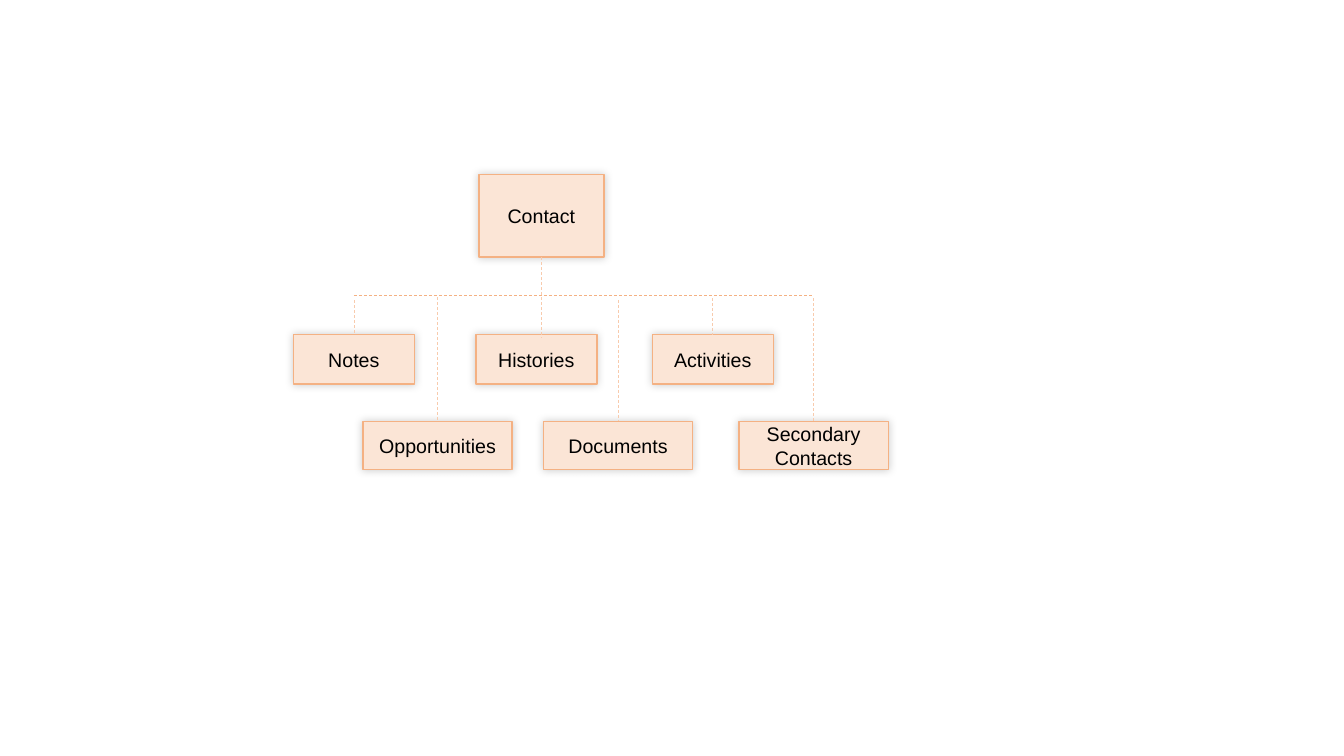
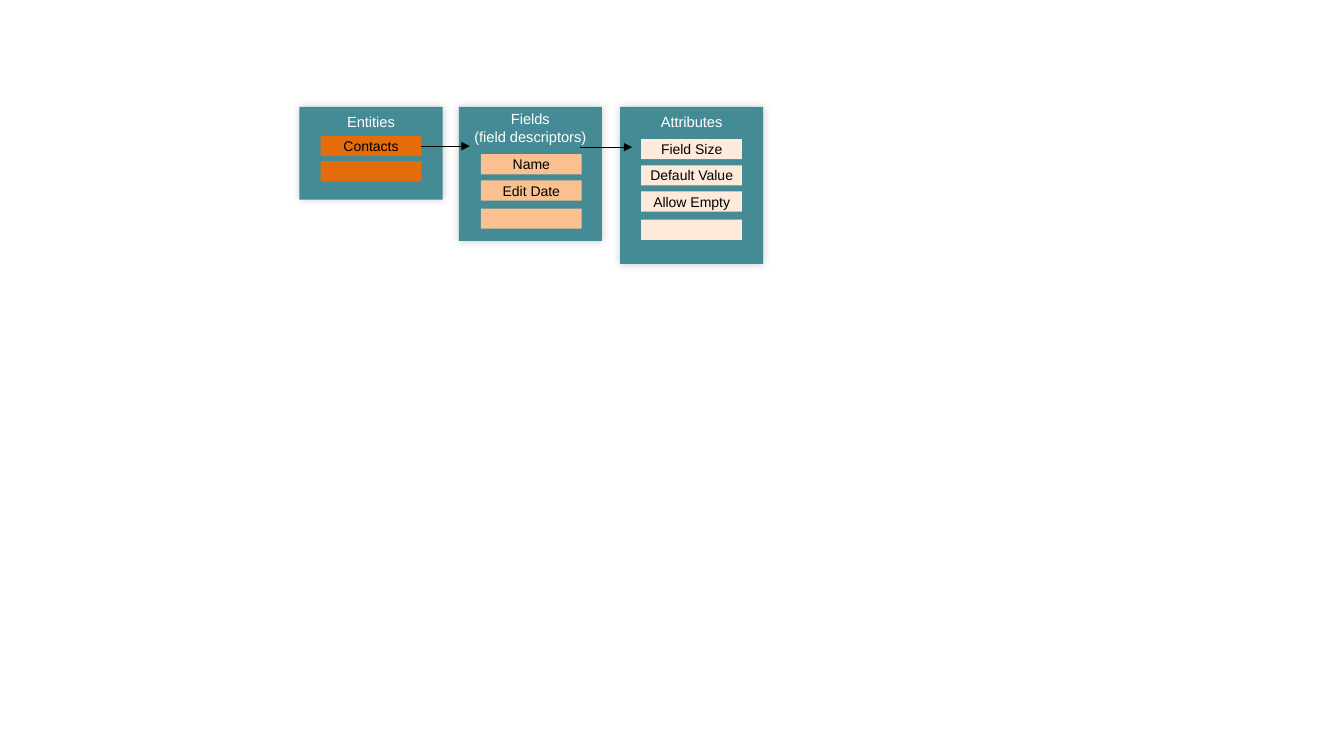
import pptx
import pptx.dml.color
import pptx.enum.dml
import pptx.enum.shapes
import pptx.enum.text
import pptx.oxml
import pptx.oxml.ns
import pptx.util
from lxml import etree

PX = 9144  # EMU per px, 100 px to the inch
FONT = "Arial"
COLORS = {
    "black": "000000",
    "white": "FFFFFF",
    "peach": "FBE5D6",
    "peach_edge": "F4B183",
    "peach_line": "F8CBAD",
    "teal": "458B95",
    "orange": "E46C0A",
    "apricot": "FAC090",
    "cream": "FDEADA",
}
ANCHOR = pptx.enum.text.MSO_ANCHOR
TOP, LEFT, BOTTOM, RIGHT = range(4)  # connection sites of a rectangle


def px(length):
    return pptx.util.Emu(length * PX)


def color(name):
    return pptx.dml.color.RGBColor.from_string(COLORS[name])


def write(frame, text, size=10, ink="black", anchor=ANCHOR.MIDDLE, inset_top=0):
    """Fill a text frame with centred text; a line feed is a line break."""
    frame.word_wrap = True
    frame.vertical_anchor = anchor
    frame.margin_left = frame.margin_right = px(4)
    frame.margin_top, frame.margin_bottom = px(inset_top), 0
    para = frame.paragraphs[0]
    para.alignment = pptx.enum.text.PP_ALIGN.CENTER
    for index, line in enumerate(text.split("\n")):
        if index:
            para.add_line_break()
        span = para.add_run()
        span.text = line
        span.font.name = FONT
        span.font.size = pptx.util.Pt(size)
        span.font.color.rgb = color(ink)


class Diagram:
    """The deck, its style and the slide being drawn."""

    def __init__(self, width, height):
        self.deck = pptx.Presentation()
        self.deck.slide_width, self.deck.slide_height = px(width), px(height)
        self.page = None

    def new_page(self):
        self.page = self.deck.slides.add_slide(self.deck.slide_layouts[6])

    def box(self, left, top, width, height, fill, edge=None, glow=False, text="", **style):
        shape = self.page.shapes.add_shape(
            pptx.enum.shapes.MSO_SHAPE.RECTANGLE, px(left), px(top), px(width), px(height))
        shape.shadow.inherit = False
        shape.fill.solid()
        shape.fill.fore_color.rgb = color(fill)
        if edge:
            shape.line.color.rgb = color(edge)
            shape.line.width = pptx.util.Pt(1)
        else:
            shape.line.fill.background()
        if glow:
            self.soft_shadow(shape)
        if text:
            write(shape.text_frame, text, **style)
        return shape

    def soft_shadow(self, shape):
        effects = shape._element.spPr.find(pptx.oxml.ns.qn("a:effectLst"))
        effects.append(pptx.oxml.parse_xml(
            f'<a:outerShdw {pptx.oxml.ns.nsdecls("a")} blurRad="76200" dist="0" '
            f'dir="13500000" rotWithShape="0"><a:srgbClr val="{COLORS["black"]}">'
            '<a:alpha val="20000"/></a:srgbClr></a:outerShdw>'))

    def line(self, start, end, ink, weight=0.5, dashed=True, arrow=False,
             begin_at=None, end_at=None):
        link = self.page.shapes.add_connector(
            pptx.enum.shapes.MSO_CONNECTOR.STRAIGHT, *map(px, start + end))
        etree.SubElement(link._element.spPr, pptx.oxml.ns.qn("a:effectLst"))
        link.line.color.rgb = color(ink)
        link.line.width = pptx.util.Pt(weight)
        if dashed:
            link.line.dash_style = pptx.enum.dml.MSO_LINE.DASH
        if arrow:
            etree.SubElement(link.line._get_or_add_ln(),
                             pptx.oxml.ns.qn("a:tailEnd"), type="triangle")
        if begin_at:
            link.begin_connect(*begin_at)
        if end_at:
            link.end_connect(*end_at)

    def arrow(self, start, end, **joins):
        self.line(start, end, "black", weight=0.75, dashed=False, arrow=True, **joins)


def contact_tree(diagram):
    diagram.new_page()
    node = {"fill": "peach", "edge": "peach_edge", "glow": True, "size": 14}
    contact = diagram.box(475, 173, 124, 82, text="Contact", **node)
    diagram.box(472, 332, 120, 49, text="Histories", **node)

    # Trunk and rail
    diagram.line((537, 255), (537, 335), "peach_line", begin_at=(contact, BOTTOM))
    diagram.line((351, 293), (807, 293), "peach_edge")

    # Children, each hung from the rail: name, left, start of its line
    upper = (332, 120, 49, [("Notes", 291, 298), ("Activities", 647, 296)])
    lower = (418, 148, 48, [("Opportunities", 360, 295), ("Documents", 539, 298),
                            ("Secondary Contacts", 733, 296)])
    for top, width, height, children in (upper, lower):
        for name, left, drop in children:
            child = diagram.box(left, top, width, height, text=name, **node)
            middle = left + width // 2
            diagram.line((middle, drop), (middle, top), "peach_line", end_at=(child, TOP))


def entity_model(diagram):
    diagram.new_page()
    # Cards: title, left, height, title inset, bar colour, bar left, bars by top
    cards = [
        ("Entities", 297, 92, 6, "orange", 318, {135: "Contacts", 160: ""}),
        ("Fields\n(field descriptors)", 455, 133, 3, "apricot", 477,
         {153: "Name", 179: "Edit Date", 207: ""}),
        ("Attributes", 615, 156, 6, "cream", 636,
         {138: "Field Size", 164: "Default Value", 190: "Allow Empty", 218: ""}),
    ]
    bars = {}
    for title, left, height, inset, fill, bar_left, rows in cards:
        diagram.box(left, 106, 142, height, "teal", glow=True, text=title, size=10.5,
                    ink="white", anchor=ANCHOR.TOP, inset_top=inset)
        for top, name in rows.items():
            bars[name] = diagram.box(bar_left, top, 100, 20, fill, text=name)

    # Arrows from card to card
    diagram.arrow((418, 145), (466, 145), begin_at=(bars["Contacts"], RIGHT))
    diagram.arrow((575, 146), (627, 146))


def main():
    diagram = Diagram(1333, 750)
    contact_tree(diagram)
    entity_model(diagram)
    diagram.deck.save("out.pptx")


if __name__ == "__main__":
    main()
